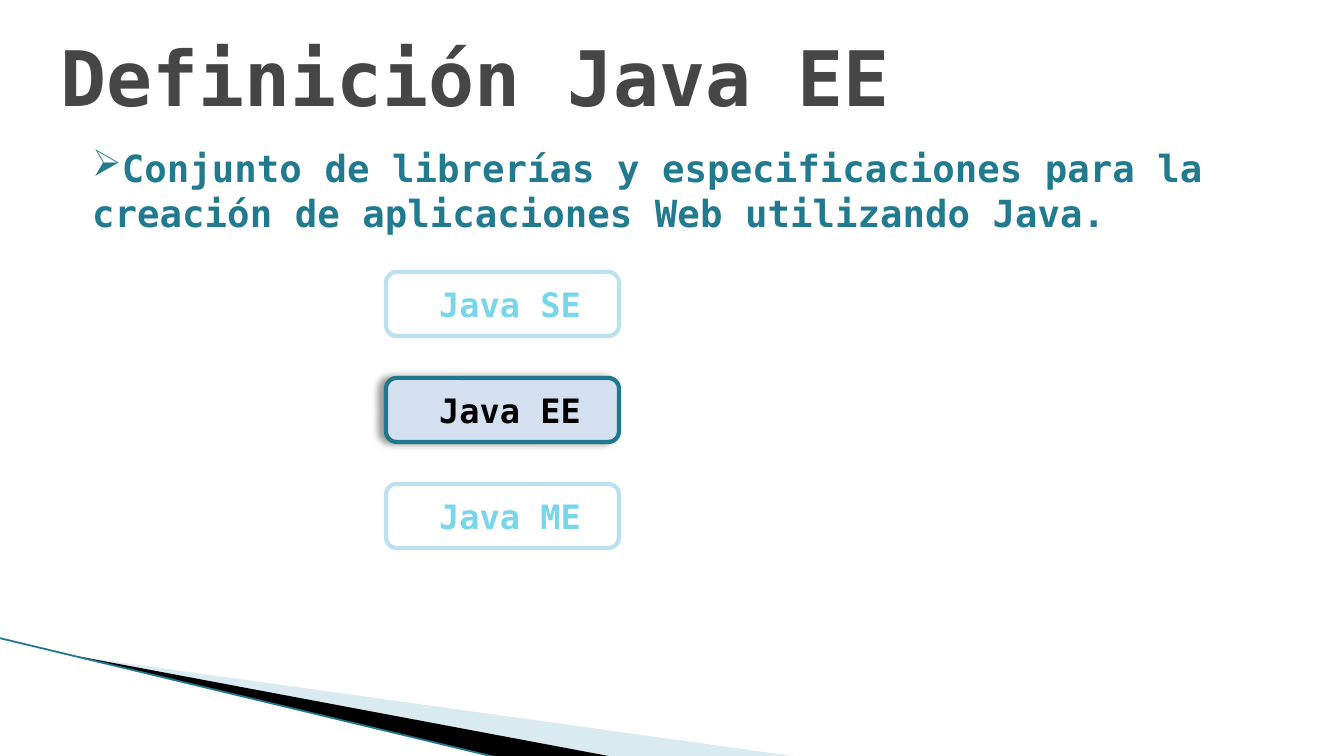
from collections import namedtuple
from dataclasses import dataclass

from lxml import etree
from pptx import Presentation
from pptx.dml.color import RGBColor
from pptx.enum.shapes import MSO_CONNECTOR, MSO_SHAPE
from pptx.enum.text import MSO_ANCHOR, MSO_AUTO_SIZE, PP_ALIGN
from pptx.oxml.ns import qn
from pptx.util import Pt

STRAIGHT = MSO_CONNECTOR.STRAIGHT
ROUNDED = MSO_SHAPE.ROUNDED_RECTANGLE
TOP, MIDDLE = MSO_ANCHOR.TOP, MSO_ANCHOR.MIDDLE
LEFT = PP_ALIGN.LEFT
NO_FIT, GROW = MSO_AUTO_SIZE.NONE, MSO_AUTO_SIZE.SHAPE_TO_FIT_TEXT
SCALE = 914400 / 134.4
TITLE_ONLY = 5

Box = namedtuple("Box", "left top width height")


@dataclass(frozen=True)
class Theme:
    font: str = "DejaVu Sans Mono"
    title_size: int = 41
    body_size: int = 20
    label_size: int = 18
    title: str = "464646"
    body: str = "227A8F"
    muted_text: str = "78D6EA"
    muted_line: str = "BDE0EF"
    active_text: str = "000000"
    active_line: str = "21788D"
    active_fill: str = "D4DFEF"
    light_wedge: str = "A0CBDC"
    dark_wedge: str = "000000"
    edge: str = "21788D"
    edge_width: float = 0.95
    frame_width: float = 2.25


THEME = Theme()


def px(value):
    return round(value * SCALE)


def emu(box):
    return [px(value) for value in box]


def color(value):
    return RGBColor.from_string(value)


def apply(target, values):
    for name, value in values.items():
        setattr(target, name, value)


def write(frame, text, size, shade, frame_format):
    apply(frame, frame_format)
    para = frame.paragraphs[0]
    para.alignment = LEFT
    span = para.add_run()
    span.text = text
    apply(span.font, {"name": THEME.font, "size": Pt(size), "bold": True})
    span.font.color.rgb = color(shade)
    return para


def add_wedge(page, box, points, shade, alpha=None):
    corners = [(px(box.left + x), px(box.top + y)) for x, y in points]
    builder = page.shapes.build_freeform(*corners[0])
    builder.add_line_segments(corners[1:], close=True)
    wedge = builder.convert_to_shape()
    wedge.shadow.inherit = False
    wedge.fill.solid()
    wedge.fill.fore_color.rgb = color(shade)
    wedge.line.fill.background()
    if alpha:
        tint = wedge.fill._xPr.find(".//" + qn("a:srgbClr"))
        etree.SubElement(tint, qn("a:alpha"), val=str(alpha * 1000))


def add_corner(page, box):
    add_wedge(page, box, [(74, 18), (800, 119), (613, 119)], THEME.light_wedge, 40)
    add_wedge(page, box, [(71, 17), (614, 119), (500, 120), (73, 18)], THEME.dark_wedge)
    edge = page.shapes.add_connector(
        STRAIGHT, px(box.left - 1), px(box.top), px(box.left + 499), px(box.top + box.height))
    edge.line.color.rgb = color(THEME.edge)
    edge.line.width = Pt(THEME.edge_width)
    etree.SubElement(edge._element.spPr, qn("a:effectLst"))


def add_title(page, box, text):
    title = page.shapes.title
    apply(title, dict(zip(box._fields, emu(box))))
    write(title.text_frame, text, THEME.title_size, THEME.title, {
        "word_wrap": True, "auto_size": NO_FIT,
        "vertical_anchor": MIDDLE, "margin_bottom": px(13)})


def add_body(page, box, text):
    body = page.shapes.add_textbox(*emu(box))
    para = write(body.text_frame, text, THEME.body_size, THEME.body, {
        "word_wrap": True, "auto_size": NO_FIT,
        "vertical_anchor": TOP, "margin_top": 0})
    apply(para, {"space_before": Pt(6), "space_after": Pt(12)})
    properties = para._p.get_or_add_pPr()
    apply_indent = {"marL": "0", "indent": "0"}
    for name, value in apply_indent.items():
        properties.set(name, value)
    etree.SubElement(properties, qn("a:buChar"), char="➢")


def add_shadow(shape):
    effects = shape._element.spPr.find(qn("a:effectLst"))
    shadow = etree.SubElement(
        effects, qn("a:outerShdw"), blurRad=str(Pt(4)), dist=str(Pt(3)),
        dir="10800000", algn="r", rotWithShape="0")
    shade = etree.SubElement(shadow, qn("a:srgbClr"), val="000000")
    etree.SubElement(shade, qn("a:alpha"), val="40000")


def add_edition(page, box, text, active):
    frame = page.shapes.add_shape(ROUNDED, *emu(box))
    frame.shadow.inherit = False
    frame.line.width = Pt(THEME.frame_width)
    frame.line.color.rgb = color(THEME.active_line if active else THEME.muted_line)
    if active:
        frame.fill.solid()
        frame.fill.fore_color.rgb = color(THEME.active_fill)
        add_shadow(frame)
    else:
        frame.fill.background()
    label = page.shapes.add_textbox(*emu(Box(box.left + 40, box.top + 5, 169, 54)))
    write(label.text_frame, text, THEME.label_size,
          THEME.active_text if active else THEME.muted_text,
          {"word_wrap": False, "auto_size": GROW})


def add_editions(page, box, names, current):
    height = 64
    step = (box.height - height) // (len(names) - 1)
    for index, name in enumerate(names):
        place = Box(box.left, box.top + index * step, box.width, height)
        add_edition(page, place, name, name == current)


def main():
    deck = Presentation()
    deck.slide_width, deck.slide_height = px(1344), px(756)
    page = deck.slides.add_slide(deck.slide_layouts[TITLE_ONLY])
    add_corner(page, Box(0, 638, 800, 120))
    add_title(page, Box(47, 19, 1196, 120), "Definición Java EE")
    add_body(page, Box(79, 145, 1175, 276),
             "Conjunto de librerías y especificaciones para la creación "
             "de aplicaciones Web utilizando Java.")
    add_editions(page, Box(386, 272, 233, 276), ["Java SE", "Java EE", "Java ME"], "Java EE")
    deck.save("out.pptx")


if __name__ == "__main__":
    main()
